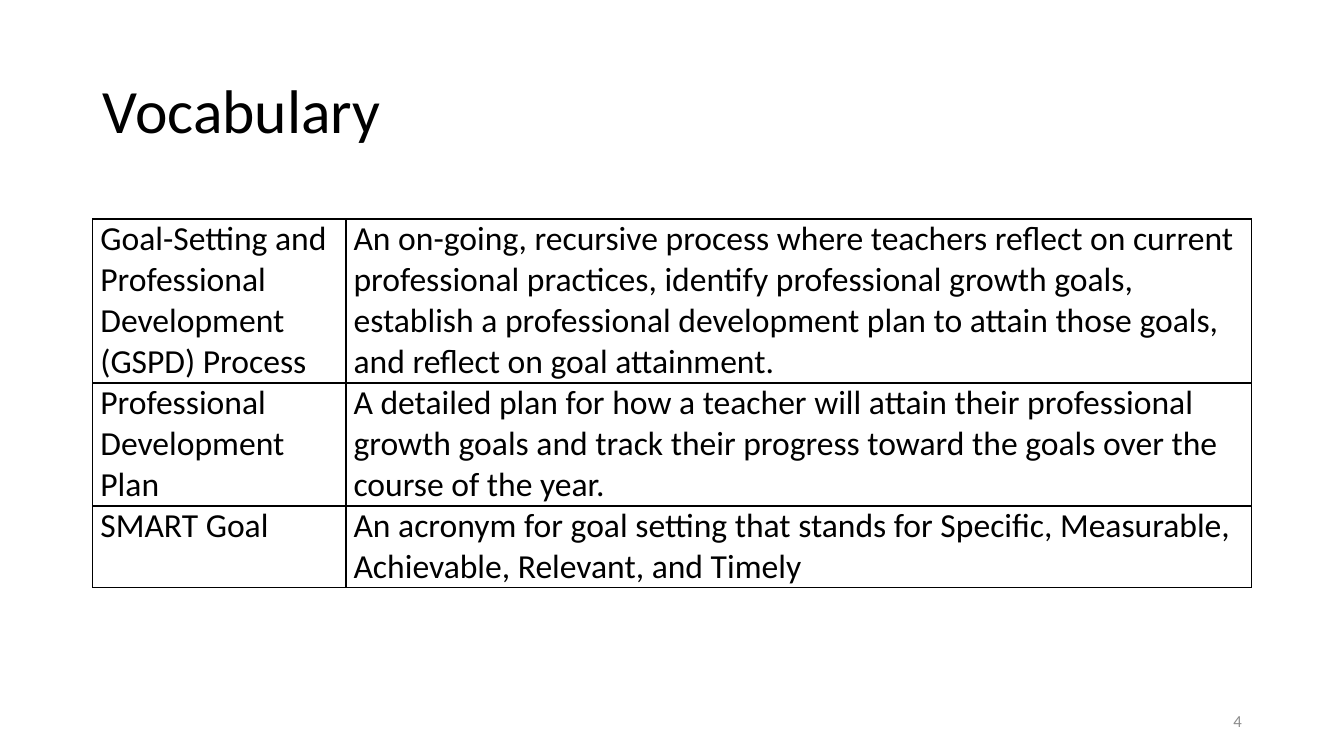
from lxml import etree
from pptx import Presentation
from pptx import util as u
from pptx.dml.color import RGBColor
from pptx.enum import text
from pptx.oxml import ns

COLORS = {"ink": "000000", "number": "8C8C8C"}
FONT = "Calibri"
LEFT, WIDTH = 2.34, 29.21
COLUMNS = (6.38, 22.83)
ROWS = (4.13, 3.1, 2.06)
VOCABULARY = (
    ("Goal-Setting and Professional Development (GSPD) Process",
     "An on-going, recursive process where teachers reflect on current "
     "professional practices, identify professional growth goals, establish "
     "a professional development plan to attain those goals, and reflect on "
     "goal attainment."),
    ("Professional Development Plan",
     "A detailed plan for how a teacher will attain their professional growth "
     "goals and track their progress toward the goals over the course of the "
     "year."),
    ("SMART Goal",
     "An acronym for goal setting that stands for Specific, Measurable, "
     "Achievable, Relevant, and Timely"),
)


def apply(target, values):
    for name, value in values.items():
        setattr(target, name, value)


def write(tf, words, size, color="ink", **paragraph):
    p = tf.paragraphs[0]
    apply(p, paragraph)
    r = p.add_run()
    r.text = words
    apply(r.font, {"name": FONT, "size": u.Pt(size)})
    r.font.color.rgb = RGBColor.from_string(COLORS[color])


def add_text(s, box, words, size, color="ink", **paragraph):
    tf = s.shapes.add_textbox(*map(u.Cm, box)).text_frame
    apply(tf, {"word_wrap": True, "vertical_anchor": text.MSO_ANCHOR.MIDDLE})
    write(tf, words, size, color, **paragraph)


def add_borders(cell):
    props = cell._tc.get_or_add_tcPr()
    for side in ("a:lnL", "a:lnR", "a:lnT", "a:lnB"):
        line = etree.SubElement(props, ns.qn(side), w=str(u.Pt(1)))
        fill = etree.SubElement(line, ns.qn("a:solidFill"))
        etree.SubElement(fill, ns.qn("a:srgbClr"), val=COLORS["ink"])


def fill_cell(cell, words):
    apply(cell, {"margin_left": u.Cm(0.19), "margin_right": u.Cm(0.19),
                 "margin_top": 0, "margin_bottom": 0})
    write(cell.text_frame, words, 24,
          space_before=u.Pt(6), space_after=u.Pt(6))
    add_borders(cell)
    cell.fill.background()


def add_vocabulary(s):
    box = (LEFT, 5.52, WIDTH, sum(ROWS))
    table = s.shapes.add_table(len(ROWS), len(COLUMNS), *map(u.Cm, box)).table
    apply(table, {"first_row": False, "horz_banding": False})
    for column, width in zip(table.columns, COLUMNS):
        column.width = u.Cm(width)
    for row, height, entry in zip(table.rows, ROWS, VOCABULARY):
        row.height = u.Cm(height)
        for cell, words in zip(row.cells, entry):
            fill_cell(cell, words)


def main():
    prs = Presentation()
    apply(prs, {"slide_width": u.Cm(33.87), "slide_height": u.Cm(19.05)})
    s = prs.slides.add_slide(prs.slide_layouts[6])
    add_text(s, (LEFT, 1.01, WIDTH, 3.68), "Vocabulary", 44, line_spacing=0.9)
    add_vocabulary(s)
    add_text(s, (23.93, 17.66, 7.62, 1.01), "4", 12, "number",
             alignment=text.PP_ALIGN.RIGHT)
    prs.save("out.pptx")


if __name__ == "__main__":
    main()
